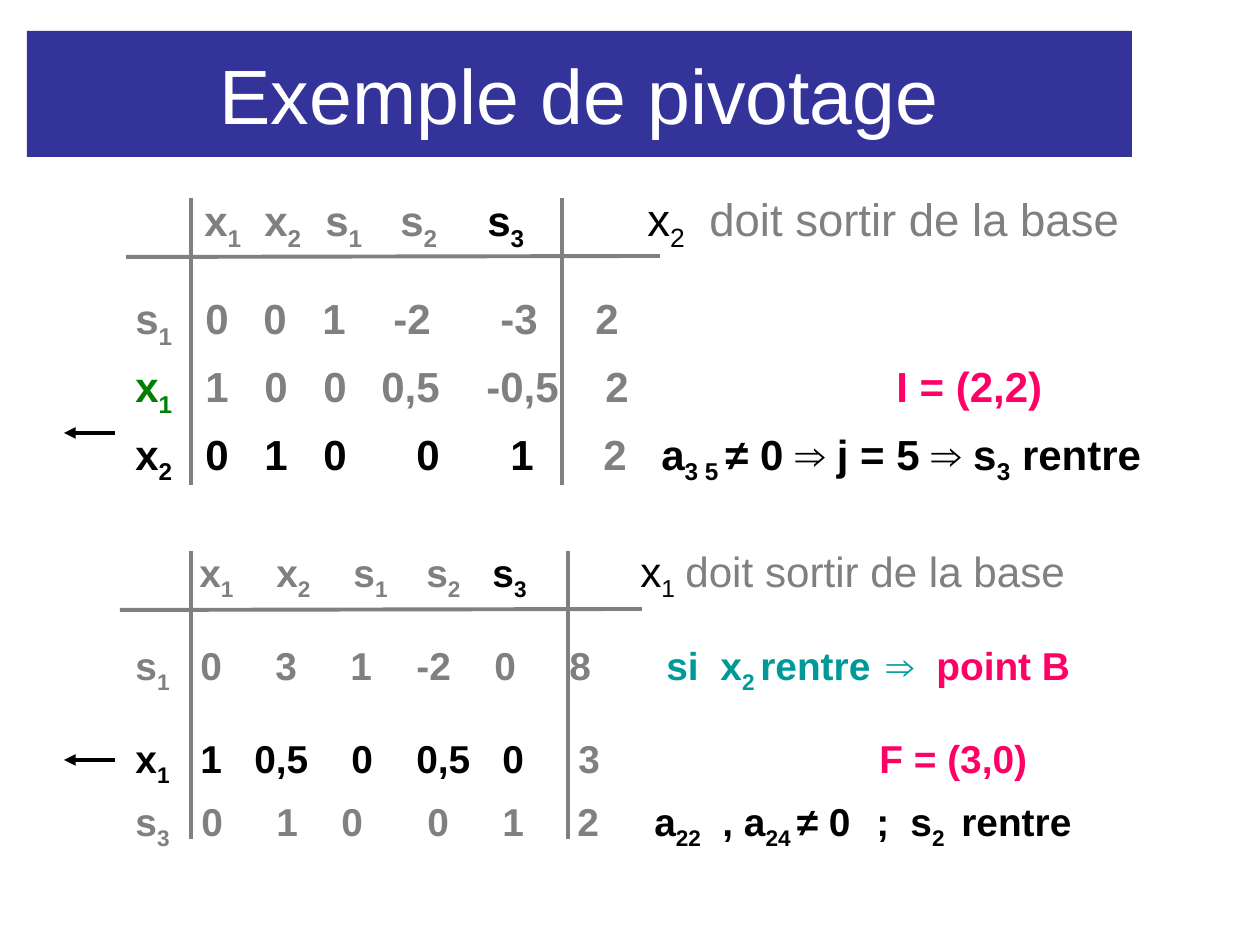
from lxml.etree import SubElement
from pptx import Presentation
from pptx.dml.color import RGBColor
from pptx.enum.shapes import MSO_CONNECTOR, MSO_SHAPE
from pptx.enum.text import MSO_ANCHOR, PP_ALIGN
from pptx.oxml.ns import qn
from pptx.util import Pt

SCALE = 914400 / 126
LEFT = 136
GREY = RGBColor(0x80, 0x80, 0x80)
BLACK = RGBColor(0, 0, 0)
WHITE = RGBColor(0xFF, 0xFF, 0xFF)
BLUE = RGBColor(0x33, 0x33, 0x99)
GREEN = RGBColor(0, 0x80, 0)
PINK = RGBColor(0xFF, 0, 0x66)
TEAL = RGBColor(0, 0x99, 0x99)

UPPER = [
    (6.5, [205, 265, 326, 401, 488, 648, 710],
     [("\tx|1|\tx|2|\ts|1|\ts|2|", GREY), ("\ts|3|", BLACK)],
     [("\tx|2|", BLACK), ("\tdoit sortir de la base", GREY)]),
    (22.5, [206, 264, 323, 394, 501, 596],
     [("s|1|\t0\t0\t1\t-2\t-3\t2", GREY)], []),
    (6, [206, 265, 324, 382, 487, 606, 897],
     [("x|1|", GREEN), ("\t1\t0\t0\t0,5\t-0,5\t2", GREY), ("\tI = (2,2)", PINK)], []),
    (6, [206, 265, 324, 417, 511, 604, 662],
     [("x|2|\t0\t1\t0\t0\t1", BLACK), ("\t2", GREY),
      ("\ta|3 5 |≠ 0 ⇒ j = 5 ⇒ s|3| rentre", BLACK)], []),
]

LOWER = [
    (6, [200, 277, 354, 427, 493, 641, 686],
     [("\tx|1|\tx|2|\ts|1|\ts|2|", GREY), ("\ts|3|", BLACK)],
     [("\tx|1|", BLACK), ("\tdoit sortir de la base", GREY)]),
    (22.5, [201, 276, 351, 417, 495, 570, 667, 721, 761, 887, 937],
     [("s|1|\t0\t3\t1\t-2\t0\t8", GREY), ("\tsi\tx|2|\trentre\t⇒", TEAL),
      ("\tpoint B", PINK)], []),
    (22.5, [201, 255, 352, 417, 503, 579, 880],
     [("x|1|\t1\t0,5\t0\t0,5\t0", BLACK), ("\t3", GREY), ("\tF = (3,0)", PINK)], []),
    (6, [202, 277, 342, 428, 503, 578, 655, 723, 877, 911, 962],
     [("s|3|\t0\t1\t0\t0\t1\t2", GREY),
      ("\ta|22|\t, a|24 |≠ 0\t;\ts|2|\trentre", BLACK)], []),
]


def px(num):
    return round(num * SCALE)


def write(para, text, size, color, bold=False):
    for idx, part in enumerate(text.split("|")):
        if not part:
            continue
        run = para.add_run()
        run.text = part
        font = run.font
        font.name, font.size, font.bold = "Arial", Pt(size), bold
        font.color.rgb = color
        if idx % 2:
            run._r.get_or_add_rPr().set("baseline", "-25000")


def set_tabs(para, stops):
    tabs = SubElement(para._p.get_or_add_pPr(), qn("a:tabLst"))
    for stop in stops:
        SubElement(tabs, qn("a:tab"), pos=str(px(stop - LEFT)), algn="l")


def add_line(shapes, ends, color, arrow=False):
    line = shapes.add_connector(MSO_CONNECTOR.STRAIGHT, *map(px, ends))
    line.line.color.rgb = color
    line.line.width = Pt(2.25)
    if arrow:
        SubElement(line.line._get_or_add_ln(), qn("a:tailEnd"), type="triangle")
    SubElement(line._element.spPr, qn("a:effectLst"))


def add_title(shapes):
    box = shapes.add_shape(MSO_SHAPE.RECTANGLE, *map(px, (27, 31, 1105, 126)))
    box.shadow.inherit = False
    box.fill.solid()
    box.fill.fore_color.rgb = BLUE
    box.line.fill.background()
    box.text_frame.vertical_anchor = MSO_ANCHOR.MIDDLE
    para = box.text_frame.paragraphs[0]
    para.alignment = PP_ALIGN.CENTER
    write(para, "Exemple de pivotage", 44, WHITE)


def add_grid(shapes, top, rows, size, head, lines):
    group = shapes.add_group_shape().shapes
    box = group.add_textbox(*map(px, (123, top, 1111, 302)))
    frame = box.text_frame
    frame.word_wrap = True
    for idx, (gap, stops, cells, note) in enumerate(rows):
        para = frame.add_paragraph() if idx else frame.paragraphs[0]
        para.space_before = Pt(gap)
        set_tabs(para, stops)
        for text, color in cells:
            write(para, text, size, color, bold=True)
        for text, color in note:
            write(para, text, head, color)
    for ends in lines:
        add_line(group, ends, GREY)


def main():
    deck = Presentation()
    deck.slide_width, deck.slide_height = px(1260), px(945)
    shapes = deck.slides.add_slide(deck.slide_layouts[6]).shapes
    add_title(shapes)
    add_grid(shapes, 185, UPPER, 24, 26,
             [(126, 257, 660, 256), (191, 198, 191, 485), (562, 198, 562, 485)])
    add_grid(shapes, 539, LOWER, 22.2, 24.1,
             [(120, 610, 642, 609), (191, 551, 191, 839), (568, 551, 568, 839)])
    for level in (433, 760):
        add_line(shapes, (115, level, 64, level), BLACK, arrow=True)
    deck.save("out.pptx")


if __name__ == "__main__":
    main()
